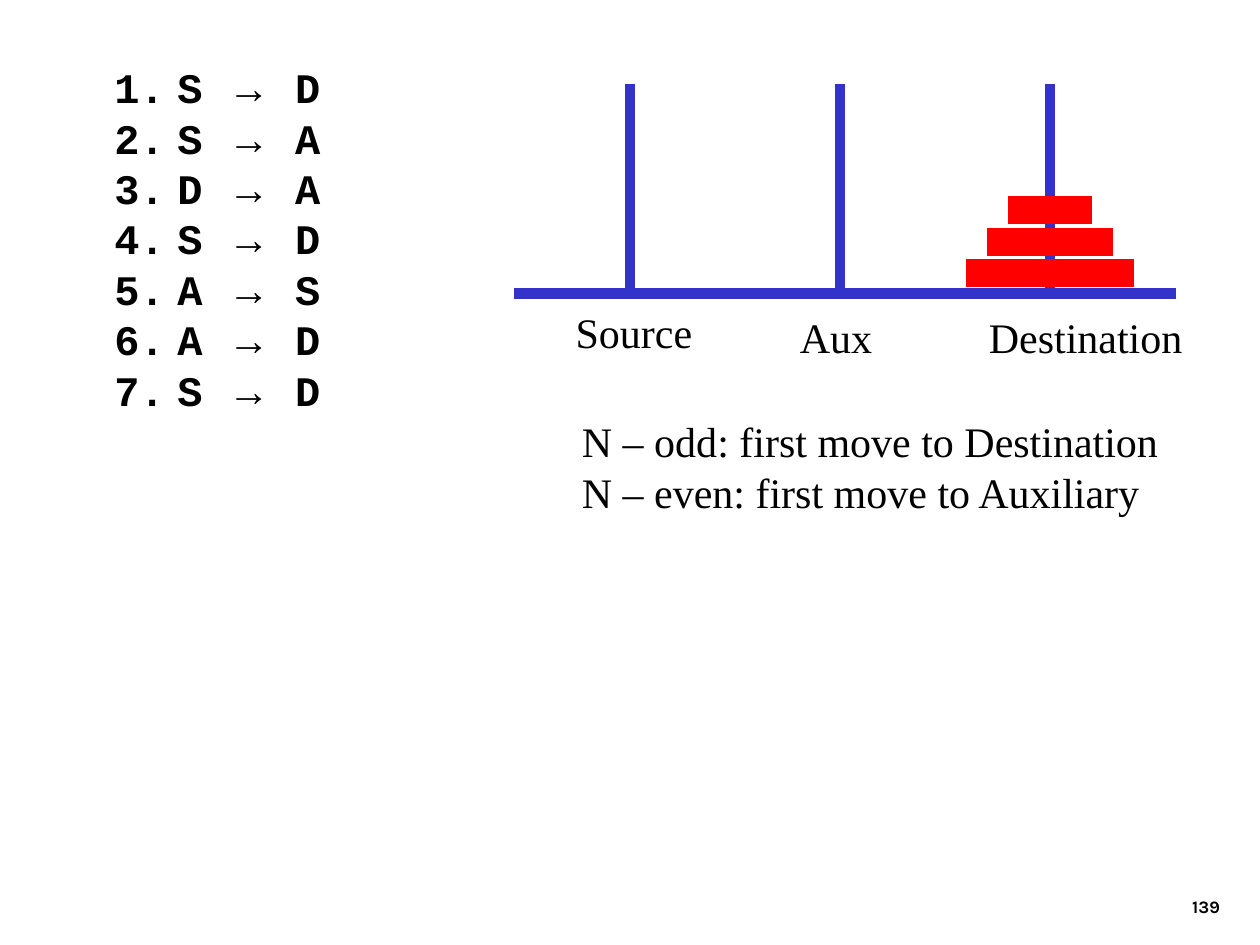
from lxml import etree
from pptx import Presentation
from pptx.dml.color import RGBColor
from pptx.enum import shapes, text
from pptx.oxml import ns
from pptx.util import Inches, Pt

THEME = {
    "ink": RGBColor(0, 0, 0),
    "frame": RGBColor(0x33, 0x33, 0xCC),
    "disk": RGBColor(0xFF, 0, 0),
    "serif": "Times New Roman",
    "code": "Courier New",
    "arrow": "Arial",
    "number": "Karla",
    "body_size": 24,
    "number_size": 10,
    "frame_width": 6,
    "disk_width": 16,
}

MOVES = ["SD", "SA", "DA", "SD", "AS", "AD", "SD"]
LABELS = [  # text, left, top, width
    ("Source", 4.47, 2.38, 1.16),
    ("Destination", 7.75, 2.42, 1.77),
    ("Aux", 6.25, 2.42, 0.81),
]
RULES = ["N – odd: first move to Destination", "N – even: first move to Auxiliary"]
PAGE_NUMBER = "139"

PEG_TOP, BASE_Y = 0.67, 2.33
BASE_LEFT, BASE_RIGHT = 4.08, 9.33
PEGS = [5 + i * 5 / 3 for i in range(3)]
DISK_WIDTHS = [4 / 3, 1, 2 / 3]  # bottom to top
DISK_Y, DISK_STEP = 2.17, 0.25


def add_bar(group, start, end, color, width):
    bar = group.shapes.add_connector(
        shapes.MSO_CONNECTOR.STRAIGHT, *(Inches(value) for value in (*start, *end)))
    bar.line.color.rgb = color
    bar.line.width = Pt(width)
    etree.SubElement(bar._element.spPr, ns.qn("a:effectLst"))


def add_tower(slide):
    group = slide.shapes.add_group_shape()
    frame = THEME["frame"], THEME["frame_width"]
    add_bar(group, (BASE_LEFT, BASE_Y), (BASE_RIGHT, BASE_Y), *frame)
    for x in PEGS:
        add_bar(group, (x, PEG_TOP), (x, BASE_Y), *frame)
    for level, width in enumerate(DISK_WIDTHS):
        y = DISK_Y - level * DISK_STEP
        add_bar(group, (PEGS[-1] - width / 2, y), (PEGS[-1] + width / 2, y),
                THEME["disk"], THEME["disk_width"])


def number_paragraph(para):
    """Give the paragraph a hanging automatic number such as 1."""
    props = para._p.get_or_add_pPr()
    props.set("marL", str(Inches(0.5)))
    props.set("indent", str(-Inches(0.5)))
    etree.SubElement(props, ns.qn("a:buAutoNum"), type="arabicPeriod")


def add_text(slide, area, paragraphs, size=THEME["body_size"], bold=False,
             numbered=False, wrap=False):
    """Add a box whose paragraphs are lists of (words, font name) runs."""
    box = slide.shapes.add_textbox(*(Inches(value) for value in area))
    frame = box.text_frame
    frame.word_wrap = wrap
    if not wrap:
        frame.auto_size = text.MSO_AUTO_SIZE.SHAPE_TO_FIT_TEXT
    for index, runs in enumerate(paragraphs):
        para = frame.add_paragraph() if index else frame.paragraphs[0]
        if numbered:
            number_paragraph(para)
        for words, font in runs:
            span = para.add_run()
            span.text = words
            span.font.name = font
            span.font.size = Pt(size)
            span.font.bold = bold
            span.font.color.rgb = THEME["ink"]
    return frame


def main():
    deck = Presentation()
    deck.slide_width, deck.slide_height = Inches(10), Inches(7.5)
    slide = deck.slides.add_slide(deck.slide_layouts[6])

    number = add_text(slide, (7.7, 6.83, 2.08, 0.5), [[(PAGE_NUMBER, THEME["number"])]],
                      size=THEME["number_size"], bold=True, wrap=True)
    number.vertical_anchor = text.MSO_ANCHOR.BOTTOM
    number.paragraphs[0].alignment = text.PP_ALIGN.RIGHT

    add_tower(slide)
    for words, left, top, width in LABELS:
        add_text(slide, (left, top, width, 0.5), [[(words, THEME["serif"])]])

    moves = [[(f"{origin} ", THEME["code"]), ("→", THEME["arrow"]),
              (f" {target}", THEME["code"])] for origin, target in MOVES]
    add_text(slide, (0.81, 0.44, 1.9, 2.9), moves, bold=True, numbered=True)
    add_text(slide, (4.52, 3.25, 4.8, 0.9), [[(rule, THEME["serif"])] for rule in RULES])

    deck.save("out.pptx")


if __name__ == "__main__":
    main()
